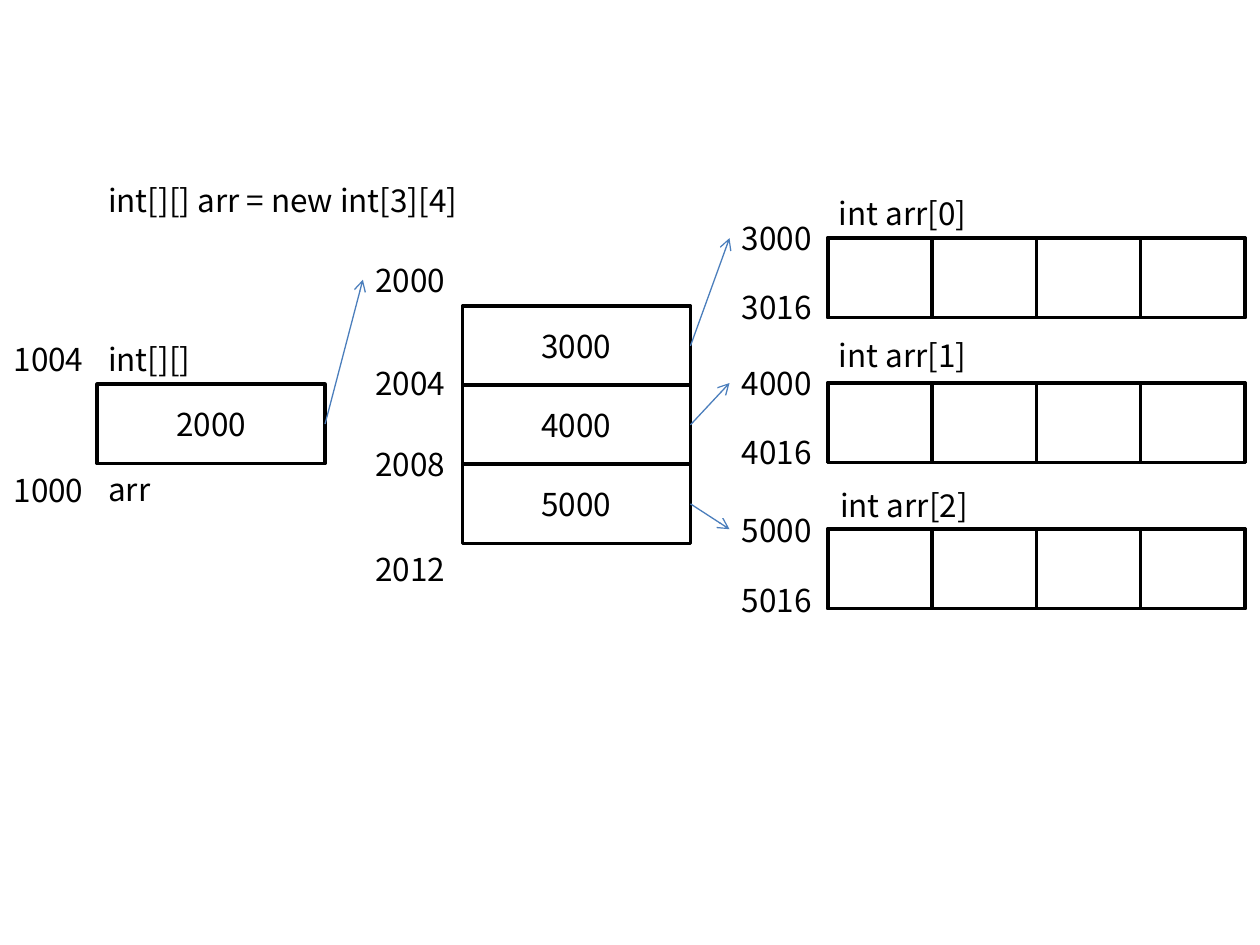
"""Draw the memory layout of a two-dimensional int array."""
from dataclasses import dataclass

import pptx
import pptx.dml.color
import pptx.enum.shapes
import pptx.enum.text
import pptx.oxml
import pptx.oxml.ns
import pptx.util
from pptx.util import Inches


@dataclass(frozen=True)
class Theme:
    font: str = "Noto Sans CJK KR"
    size: float = 18
    ink: str = "000000"
    arrow: str = "4B7EBC"
    box_line: float = 2
    arrow_line: float = 0.75


@dataclass(frozen=True)
class Label:
    text: str
    x: float
    y: float
    w: float = 0.76
    wrap: bool = False


@dataclass(frozen=True)
class Row:
    index: int
    address: int
    y: float
    label_x: float
    label_y: float
    address_y: float


T = Theme()
BOX_W, BOX_H, LABEL_H = 1.81, 0.63, 0.4
ARR_X, ARR_Y = 0.77, 3.05
REF_X, REF_Y, REF_STEP = 3.67, 2.43, 0.627
ROW_X, ROW_W, COLUMNS = 6.57, 3.31, 4
REF_ADDRESS_X, ROW_ADDRESS_X = 2.88, 5.79

LABELS = [
    Label("int[][] arr = new int[3][4]", 0.76, 1.39, 3.2, True),
    Label("int[][]", 0.76, 2.65, 1.72, True),
    Label("arr", 0.76, 3.68, 1.72, True),
    Label("1004", 0.01, 2.65),
    Label("1000", 0.01, 3.69),
    Label("2000", REF_ADDRESS_X, 2.02),
    Label("2004", REF_ADDRESS_X, 2.84),
    Label("2008", REF_ADDRESS_X, 3.48),
    Label("2012", REF_ADDRESS_X, 4.32),
]
ROWS = [
    Row(0, 3000, 1.89, 6.56, 1.49, 1.69),
    Row(1, 4000, 3.04, 6.56, 2.62, 2.84),
    Row(2, 5000, 4.2, 6.57, 3.81, 4.01),
]


def rgb(value: str) -> pptx.dml.color.RGBColor:
    return pptx.dml.color.RGBColor.from_string(value)


def write(tf, text: str, *, align=None, anchor=None, wrap: bool = True, grow: bool = False) -> None:
    tf.word_wrap = wrap
    if grow:
        tf.auto_size = pptx.enum.text.MSO_AUTO_SIZE.SHAPE_TO_FIT_TEXT
    if anchor is not None:
        tf.vertical_anchor = anchor
    p = tf.paragraphs[0]
    if align is not None:
        p.alignment = align
    r = p.add_run()
    r.text = text
    r.font.name = T.font
    r.font.size = pptx.util.Pt(T.size)
    r.font.color.rgb = rgb(T.ink)


def add_label(s, label: Label) -> None:
    sp = s.shapes.add_textbox(Inches(label.x), Inches(label.y), Inches(label.w), Inches(LABEL_H))
    write(sp.text_frame, label.text, wrap=label.wrap, grow=True)


def add_box(s, x: float, y: float, w: float, text: str = "") -> None:
    sp = s.shapes.add_shape(pptx.enum.shapes.MSO_SHAPE.RECTANGLE,
                            Inches(x), Inches(y), Inches(w), Inches(BOX_H))
    sp.shadow.inherit = False
    sp.fill.background()
    sp.line.color.rgb = rgb(T.ink)
    sp.line.width = pptx.util.Pt(T.box_line)
    if text:
        write(sp.text_frame, text, align=pptx.enum.text.PP_ALIGN.CENTER,
              anchor=pptx.enum.text.MSO_ANCHOR.MIDDLE)


def add_arrow(s, x1: float, y1: float, x2: float, y2: float) -> None:
    sp = s.shapes.add_connector(pptx.enum.shapes.MSO_CONNECTOR.STRAIGHT,
                                Inches(x1), Inches(y1), Inches(x2), Inches(y2))
    sp.line.color.rgb = rgb(T.arrow)
    sp.line.width = pptx.util.Pt(T.arrow_line)
    ln = sp.line._get_or_add_ln()
    ln.append(pptx.oxml.parse_xml(f'<a:tailEnd {pptx.oxml.ns.nsdecls("a")} type="arrow"/>'))
    sp._element.spPr.append(pptx.oxml.parse_xml(f'<a:effectLst {pptx.oxml.ns.nsdecls("a")}/>'))


def add_row(s, row: Row) -> None:
    ref_y = REF_Y + row.index * REF_STEP
    add_box(s, REF_X, ref_y, BOX_W, str(row.address))
    add_box(s, ROW_X, row.y, ROW_W)
    cell_w = ROW_W / COLUMNS
    for column in range(COLUMNS):
        add_box(s, ROW_X + column * cell_w, row.y, cell_w)
    add_label(s, Label(f"int arr[{row.index}]", row.label_x, row.label_y, 1.67, True))
    add_label(s, Label(str(row.address), ROW_ADDRESS_X, row.address_y))
    add_label(s, Label(str(row.address + 16), ROW_ADDRESS_X, row.address_y + 0.55))
    add_arrow(s, REF_X + BOX_W, ref_y + BOX_H / 2, ROW_ADDRESS_X, row.y)


def main() -> None:
    prs = pptx.Presentation()
    prs.slide_width, prs.slide_height = Inches(10), Inches(7.5)
    s = prs.slides.add_slide(prs.slide_layouts[6])
    add_box(s, ARR_X, ARR_Y, BOX_W, "2000")
    for label in LABELS:
        add_label(s, label)
    add_arrow(s, ARR_X + BOX_W, ARR_Y + BOX_H / 2, REF_ADDRESS_X, 2.22)
    for row in ROWS:
        add_row(s, row)
    prs.save("out.pptx")


main()
